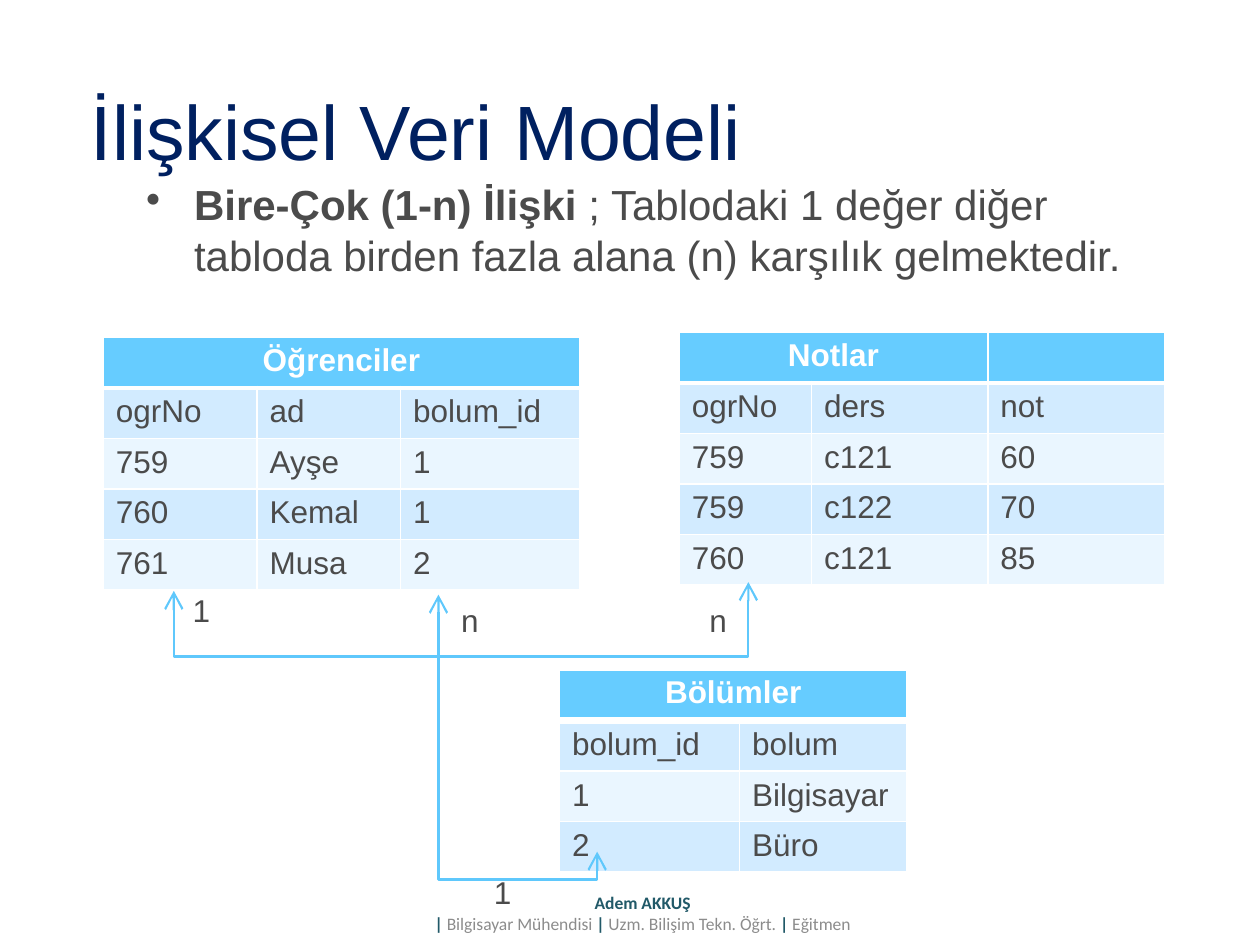
from pptx import Presentation
from pptx.dml.color import RGBColor
from pptx.enum.text import PP_ALIGN as Align
from pptx.oxml.ns import qn
from pptx.util import Inches, Pt
from lxml.etree import SubElement as Sub

NAVY = RGBColor(0x00, 0x20, 0x60)
GRAY = RGBColor(0x4B, 0x4B, 0x4B)
SILVER = RGBColor(0x8C, 0x8C, 0x8C)
TEAL = RGBColor(0x21, 0x59, 0x68)
WHITE = RGBColor(0xFF, 0xFF, 0xFF)
HEAD = RGBColor(0x66, 0xCC, 0xFF)
BANDS = RGBColor(0xD2, 0xEB, 0xFF), RGBColor(0xEA, 0xF6, 0xFF)
LINK = RGBColor(0x5F, 0xC8, 0xFC)


class Deck:
    def __init__(self, font="Arial"):
        self.font = font
        self.prs = Presentation()
        self.prs.slide_width, self.prs.slide_height = Inches(10), Inches(7.5)
        self.slide = self.prs.slides.add_slide(self.prs.slide_layouts[6])

    def style(self, para, size, color, bold=False, font=None):
        face = para.font
        face.name, face.size, face.bold = font or self.font, Pt(size), bold
        face.color.rgb = color

    def frame(self, x, y, w, h):
        box = self.slide.shapes.add_textbox(*map(Inches, (x, y, w, h)))
        frame = box.text_frame
        frame.word_wrap = True
        frame.margin_left = frame.margin_right = frame.margin_bottom = 0
        frame.margin_top = Inches(0.01)
        return frame

    def label(self, text, x, y, w, h, size=18, color=GRAY):
        para = self.frame(x, y, w, h).paragraphs[0]
        para.text = text
        para.space_before = Pt(1)
        self.style(para, size, color)

    def bullet(self, lead, rest, x, y, w, h):
        para = self.frame(x, y, w, h).paragraphs[0]
        props = para._p.get_or_add_pPr()
        props.set("marL", str(Inches(0.39)))
        props.set("indent", str(Inches(-0.38)))
        Sub(props, qn("a:buChar"), char="•")
        para.space_before = Pt(1)
        self.style(para, 24, GRAY)
        run = para.add_run()
        run.text, run.font.bold = lead, True
        para.add_run().text = rest

    def footer(self, name, roles, x, y, w, h):
        frame = self.frame(x, y, w, h)
        frame.margin_top = 0
        top, low = frame.paragraphs[0], frame.add_paragraph()
        top.text = name
        for para in (top, low):
            para.alignment = Align.CENTER
            self.style(para, 10, TEAL, True, "Calibri")
        for role in roles:
            low.add_run().text = "|"
            run = low.add_run()
            run.text, run.font.bold = role, False
            run.font.color.rgb = SILVER

    def edges(self, cell, top, low):
        props = cell._tc.get_or_add_tcPr()
        for side, wide in zip("LRTB", (1, 1, top, low)):
            line = Sub(props, qn(f"a:ln{side}"), w=str(Pt(wide)))
            fill = Sub(line, qn("a:solidFill"))
            Sub(fill, qn("a:srgbClr"), val=str(WHITE))

    def table(self, title, rows, x, y, cols, span, rule=3):
        count = len(rows) + 1
        size = sum(cols), 0.4 * count
        table = self.slide.shapes.add_table(
            count, len(cols), *map(Inches, (x, y, *size))).table
        for col, wide in zip(table.columns, cols):
            col.width = Inches(wide)
        titles = [title] + [""] * (len(cols) - 1)
        for i, row in enumerate([titles] + rows):
            table.rows[i].height = Inches(0.4)
            for j, text in enumerate(row):
                cell = table.cell(i, j)
                self.edges(cell, rule if i == 1 else 1, 1 if i else rule)
                cell.fill.solid()
                cell.fill.fore_color.rgb = BANDS[(i - 1) % 2] if i else HEAD
                cell.margin_left = Inches(0.1 if i else 0)
                cell.margin_right = cell.margin_bottom = 0
                cell.margin_top = Inches(0.05 if i else 0.04)
                para = cell.text_frame.paragraphs[0]
                para.text = text
                para.space_before = Pt(3.2)
                para.alignment = Align.LEFT if i else Align.CENTER
                self.style(para, 18, GRAY if i else WHITE, not i)
        table.cell(0, 0).merge(table.cell(0, span - 1))

    def link(self, left, right, top, end, low):
        pts = [(left, top), (left, low), (right, low), (right, end)]
        pts = [(Inches(x), Inches(y)) for x, y in pts]
        pen = self.slide.shapes.build_freeform(*pts[0])
        pen.add_line_segments(pts[1:], close=False)
        shape = pen.convert_to_shape()
        shape.shadow.inherit = False
        shape.fill.background()
        shape.line.color.rgb = LINK
        shape.line.width = Pt(1.25)
        line = shape.line._get_or_add_ln()
        for tag in ("a:headEnd", "a:tailEnd"):
            Sub(line, qn(tag), type="arrow", w="lg", len="lg")


def main():
    deck = Deck()
    deck.footer("Adem AKKUŞ",
                (" Bilgisayar Mühendisi ", " Uzm. Bilişim Tekn. Öğrt. ", " Eğitmen"),
                3, 7.08, 4.2, 0.34)
    deck.label("İlişkisel Veri Modeli", 0.72, 0.65, 5.4, 0.76, 44, NAVY)
    deck.bullet("Bire-Çok (1-n) İlişki ",
                "; Tablodaki 1 değer diğer tabloda birden fazla alana (n) "
                "karşılık gelmektedir.", 1.15, 1.41, 7.78, 0.83)
    deck.table("Öğrenciler", [
        ["ogrNo", "ad", "bolum_id"],
        ["759", "Ayşe", "1"],
        ["760", "Kemal", "1"],
        ["761", "Musa", "2"],
    ], 0.82, 2.68, (1.22, 1.14, 1.42), 3)
    deck.table("Notlar", [
        ["ogrNo", "ders", "not"],
        ["759", "c121", "60"],
        ["759", "c122", "70"],
        ["760", "c121", "85"],
    ], 5.39, 2.64, (1.05, 1.4, 1.4), 2)
    deck.table("Bölümler", [
        ["bolum_id", "bolum"],
        ["1", "Bilgisayar"],
        ["2", "Büro"],
    ], 4.44, 5.32, (1.43, 1.33), 2, 4.25)
    deck.link(3.48, 4.74, 4.72, 6.76, 6.98)
    deck.link(1.38, 5.94, 4.69, 4.62, 5.21)
    for text, x, y in (("1", 1.53, 4.68), ("n", 3.66, 4.76),
                       ("1", 3.92, 6.92), ("n", 5.63, 4.76)):
        deck.label(text, x, y, 0.17, 0.33)
    deck.prs.save("out.pptx")


if __name__ == "__main__":
    main()
